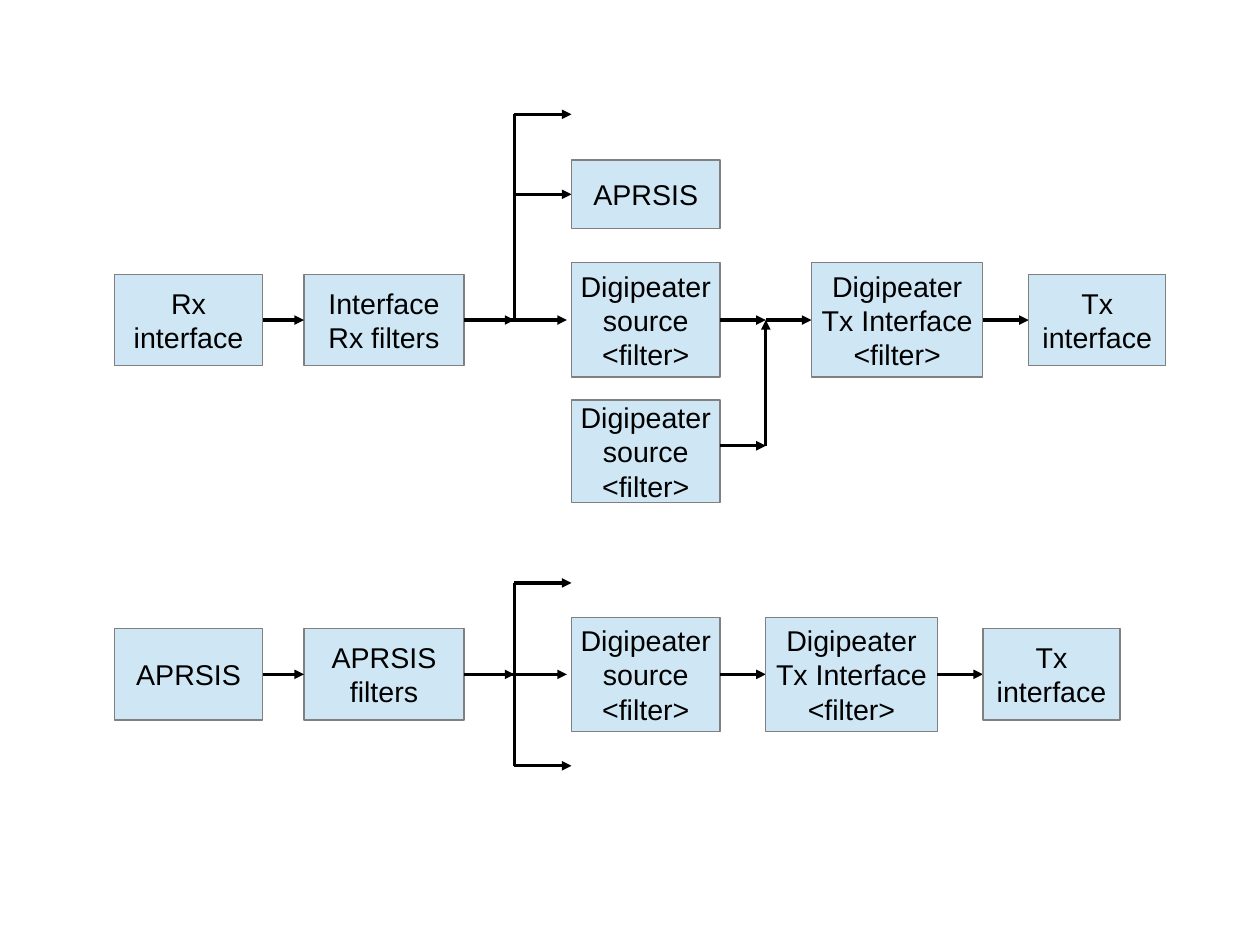
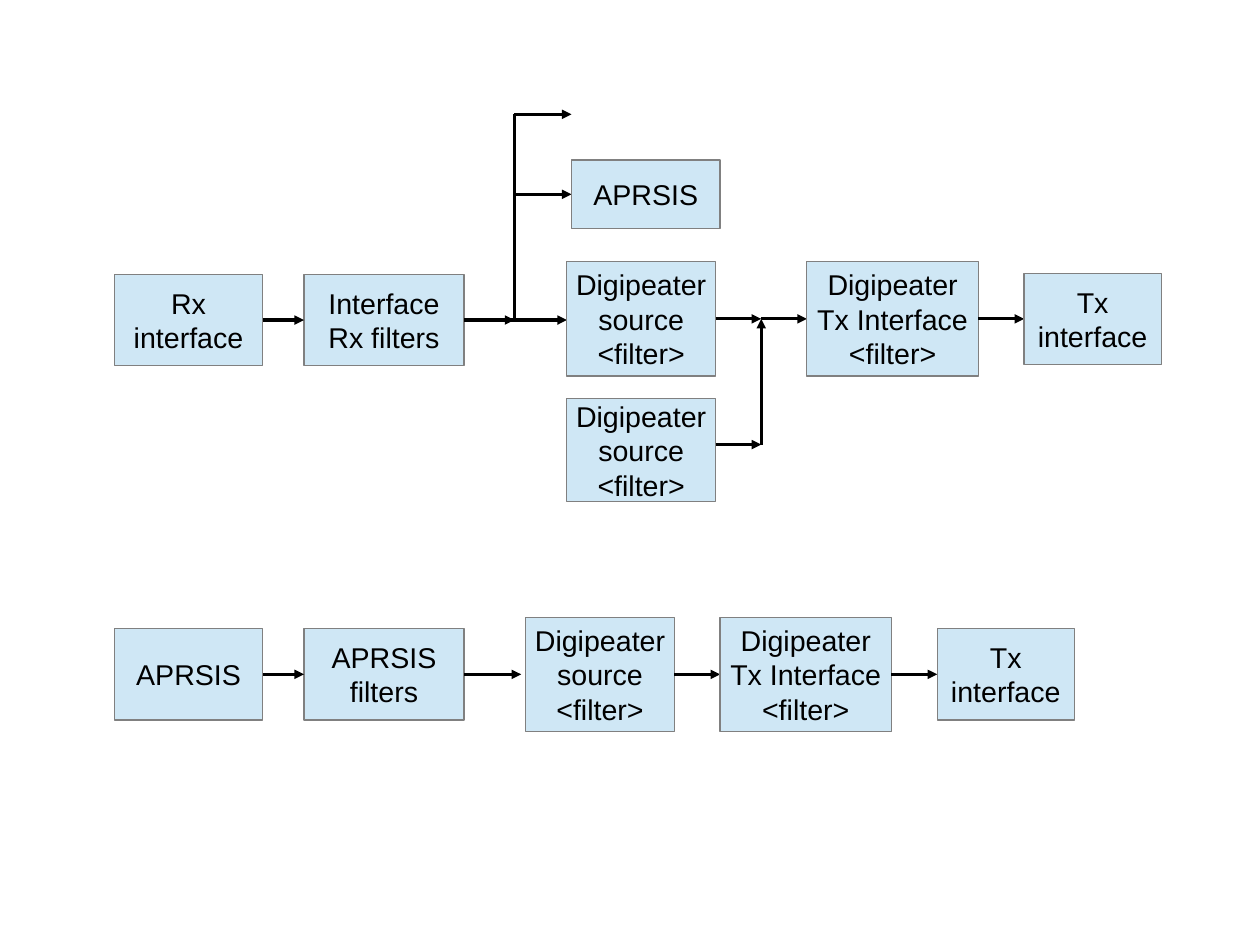
from dataclasses import dataclass

from lxml import etree
from pptx import Presentation
from pptx.dml.color import RGBColor
from pptx.enum.shapes import MSO_CONNECTOR, MSO_SHAPE
from pptx.enum.text import MSO_ANCHOR, PP_ALIGN
from pptx.oxml.ns import qn
from pptx.slide import Slide
from pptx.util import Pt

RECTANGLE = MSO_SHAPE.RECTANGLE
STRAIGHT = MSO_CONNECTOR.STRAIGHT
MIDDLE = MSO_ANCHOR.MIDDLE
CENTER = PP_ALIGN.CENTER

PALE_BLUE = RGBColor(0xCF, 0xE7, 0xF5)
GRAY = RGBColor(0x80, 0x80, 0x80)
BLACK = RGBColor(0, 0, 0)

FONT = "Arial"
FONT_SIZE = 18
HAIRLINE = 0
SLIDE_WIDTH, SLIDE_HEIGHT = 793.7, 595.3

RECEIVER_LEFT, FILTERS_LEFT = 72, 191.52
FILTERS_RIGHT = 292.32
SPINE_X, TARGET_LEFT = 324, 360
HOP = 28.8
RADIO_AXIS, INTERNET_AXIS = 201.6, 424.8
GATEWAY_AXIS = 122.4
SECOND_SOURCE_DROP, MERGE_DROP = 82.8, 79.2


@dataclass(frozen=True)
class Stage:
    label: str
    width: float
    height: float


@dataclass(frozen=True)
class Point:
    x: float
    y: float


RX_INTERFACE = Stage("Rx\ninterface", 93.6, 57.6)
RX_FILTERS = Stage("Interface\nRx filters", 100.8, 57.6)
APRSIS = Stage("APRSIS", 93.6, 57.6)
APRSIS_FILTERS = Stage("APRSIS\nfilters", 100.8, 57.6)
APRSIS_GATEWAY = Stage("APRSIS", 93.6, 43.2)
SOURCE = Stage("Digipeater\nsource\n<filter>", 93.6, 72)
SECOND_SOURCE = Stage(SOURCE.label, 93.6, 64.8)
DIGIPEATER = Stage("Digipeater\nTx Interface\n<filter>", 108, 72)
TX_INTERFACE = Stage("Tx\ninterface", 86.4, 57.6)


def draw_stage(slide: Slide, stage: Stage, left: float, axis: float) -> float:
    box = slide.shapes.add_shape(
        RECTANGLE, Pt(left), Pt(axis - stage.height / 2), Pt(stage.width), Pt(stage.height)
    )
    box.shadow.inherit = False
    box.fill.solid()
    box.fill.fore_color.rgb = PALE_BLUE
    box.line.color.rgb = GRAY
    box.line.width = Pt(HAIRLINE)
    frame = box.text_frame
    frame.word_wrap = False
    frame.vertical_anchor = MIDDLE
    frame.text = stage.label
    for paragraph in frame.paragraphs:
        paragraph.alignment = CENTER
        for run in paragraph.runs:
            run.font.name = FONT
            run.font.size = Pt(FONT_SIZE)
            run.font.color.rgb = BLACK
    return left + stage.width


def draw_line(slide: Slide, start: Point, end: Point, arrow: bool = True) -> None:
    link = slide.shapes.add_connector(
        STRAIGHT, Pt(start.x), Pt(start.y), Pt(end.x), Pt(end.y)
    )
    link.line.color.rgb = BLACK
    link.line.width = Pt(HAIRLINE)
    properties = link._element.spPr
    if arrow:
        etree.SubElement(properties.find(qn("a:ln")), qn("a:tailEnd"), type="triangle")
    etree.SubElement(properties, qn("a:effectLst"))


def draw_arrow(slide: Slide, left: float, right: float, axis: float) -> None:
    draw_line(slide, Point(left, axis), Point(right, axis))


def draw_reception(slide: Slide, receiver: Stage, filters: Stage, axis: float) -> None:
    receiver_right = draw_stage(slide, receiver, RECEIVER_LEFT, axis)
    draw_stage(slide, filters, FILTERS_LEFT, axis)
    draw_arrow(slide, receiver_right, FILTERS_LEFT, axis)


def draw_branches(slide: Slide, axis: float, branch_axes: list[float]) -> None:
    draw_arrow(slide, FILTERS_RIGHT, SPINE_X, axis)
    draw_arrow(slide, SPINE_X - 2.88, TARGET_LEFT - 2.88, axis)
    for branch_axis in branch_axes:
        draw_arrow(slide, SPINE_X, TARGET_LEFT, branch_axis)
    ends = [axis, *branch_axes]
    draw_line(slide, Point(SPINE_X, min(ends)), Point(SPINE_X, max(ends)), arrow=False)


def draw_transmission(slide: Slide, left: float, axis: float, hops: int = 1) -> None:
    right = draw_stage(slide, SOURCE, left, axis)
    for _ in range(hops):
        draw_arrow(slide, right, right + HOP, axis)
        right += HOP
    right = draw_stage(slide, DIGIPEATER, right, axis)
    draw_arrow(slide, right, right + HOP, axis)
    draw_stage(slide, TX_INTERFACE, right + HOP, axis)


def draw_second_source(slide: Slide, left: float, axis: float) -> None:
    right = draw_stage(slide, SECOND_SOURCE, left, axis + SECOND_SOURCE_DROP)
    merge_x, merge_y = right + HOP, axis + MERGE_DROP
    draw_arrow(slide, right, merge_x, merge_y)
    draw_line(slide, Point(merge_x, merge_y), Point(merge_x, axis))


def add_flow_slide(deck: Presentation, source_left: float, source_axis: float) -> Slide:
    slide = deck.slides.add_slide(deck.slide_layouts[6])
    draw_reception(slide, RX_INTERFACE, RX_FILTERS, RADIO_AXIS)
    draw_branches(slide, RADIO_AXIS, [72, GATEWAY_AXIS])
    draw_stage(slide, APRSIS_GATEWAY, TARGET_LEFT, GATEWAY_AXIS)
    draw_transmission(slide, source_left, source_axis, hops=2)
    draw_second_source(slide, source_left, source_axis)
    draw_reception(slide, APRSIS, APRSIS_FILTERS, INTERNET_AXIS)
    return slide


deck = Presentation()
deck.slide_width, deck.slide_height = Pt(SLIDE_WIDTH), Pt(SLIDE_HEIGHT)

branched = add_flow_slide(deck, TARGET_LEFT, RADIO_AXIS)
draw_branches(branched, INTERNET_AXIS, [367.2, 482.4])
draw_transmission(branched, TARGET_LEFT, INTERNET_AXIS)

direct = add_flow_slide(deck, TARGET_LEFT - 2.88, RADIO_AXIS - 0.72)
draw_arrow(direct, FILTERS_RIGHT, FILTERS_RIGHT + 36, INTERNET_AXIS)
draw_transmission(direct, 331.2, INTERNET_AXIS)

deck.save("out.pptx")
